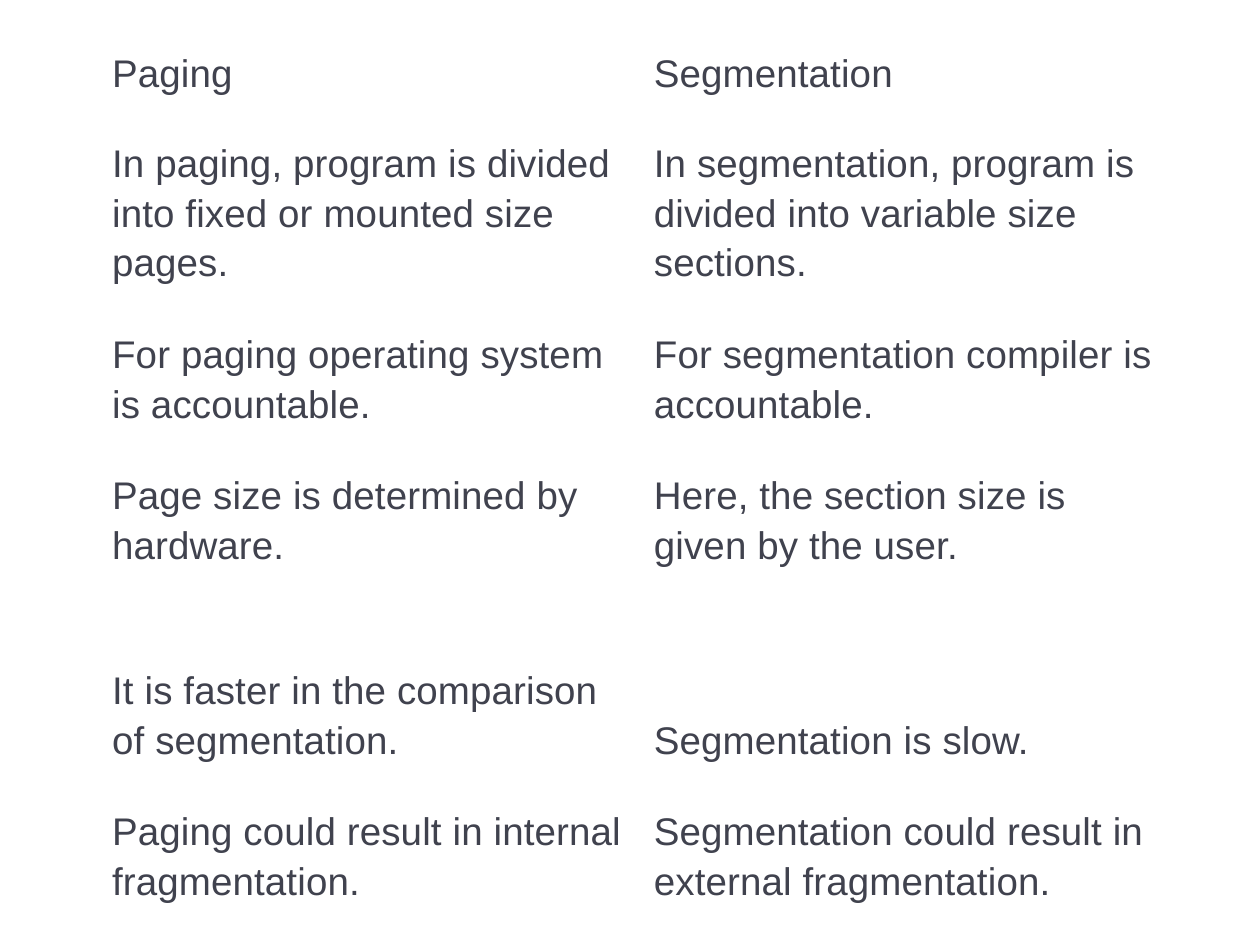
from dataclasses import dataclass

from pptx import Presentation
from pptx import util as u
from pptx.dml import color
from pptx.enum import text


@dataclass(frozen=True)
class Theme:
    font: str = "Arial"
    size: float = 22
    ink: str = "40424E"
    paper: str = "FFFFFF"
    line_spacing: float = 1.15
    tracking: int = 10


THEME = Theme()

COMPARISON = [
    (0.61, "Paging", "Segmentation"),
    (1.55, "In paging, program is divided into fixed or mounted size pages.",
     "In segmentation, program is divided into variable size sections."),
    (1.12, "For paging operating system is accountable.",
     "For segmentation compiler is accountable."),
    (1.12, "Page size is determined by hardware.",
     "Here, the section size is given by the user."),
    (1.55, "It is faster in the comparison of segmentation.",
     "Segmentation is slow."),
    (1.12, "Paging could result in internal fragmentation.",
     "Segmentation could result in external fragmentation."),
]


def write(frame, wording, *, size=THEME.size, ink=THEME.ink, bold=False):
    paragraph = frame.paragraphs[0]
    paragraph.line_spacing = THEME.line_spacing
    run = paragraph.add_run()
    run.text = wording
    run.font.name = THEME.font
    run.font.size = u.Pt(size)
    run.font.bold = bold
    run.font.color.rgb = color.RGBColor.from_string(ink)
    run.font._element.set("spc", str(THEME.tracking))


def fill_cell(cell, wording, vertical_margin):
    cell.fill.solid()
    cell.fill.fore_color.rgb = color.RGBColor.from_string(THEME.paper)
    cell.vertical_anchor = text.MSO_ANCHOR.BOTTOM
    cell.margin_left = cell.margin_right = u.Inches(0.11)
    cell.margin_top = cell.margin_bottom = u.Inches(vertical_margin)
    write(cell.text_frame, wording)


def add_comparison(slide, left, top, column_width):
    height = sum(row[0] for row in COMPARISON)
    comparison = slide.shapes.add_table(
        len(COMPARISON), 2, u.Inches(left), u.Inches(top),
        u.Inches(2 * column_width), u.Inches(height)).table
    comparison.first_row = True
    comparison.horz_banding = False
    for column in comparison.columns:
        column.width = u.Inches(column_width)
    for index, (row_height, *wordings) in enumerate(COMPARISON):
        comparison.rows[index].height = u.Inches(row_height)
        margin = 0.11 if index == 0 else 0.16
        for cell, wording in zip(comparison.rows[index].cells, wordings):
            fill_cell(cell, wording, margin)


def main():
    deck = Presentation()
    deck.slide_width, deck.slide_height = u.Inches(10), u.Inches(7.5)
    slide = deck.slides.add_slide(deck.slide_layouts[6])
    add_comparison(slide, left=0.78, top=0.26, column_width=4.3)
    deck.save("out.pptx")


if __name__ == "__main__":
    main()
